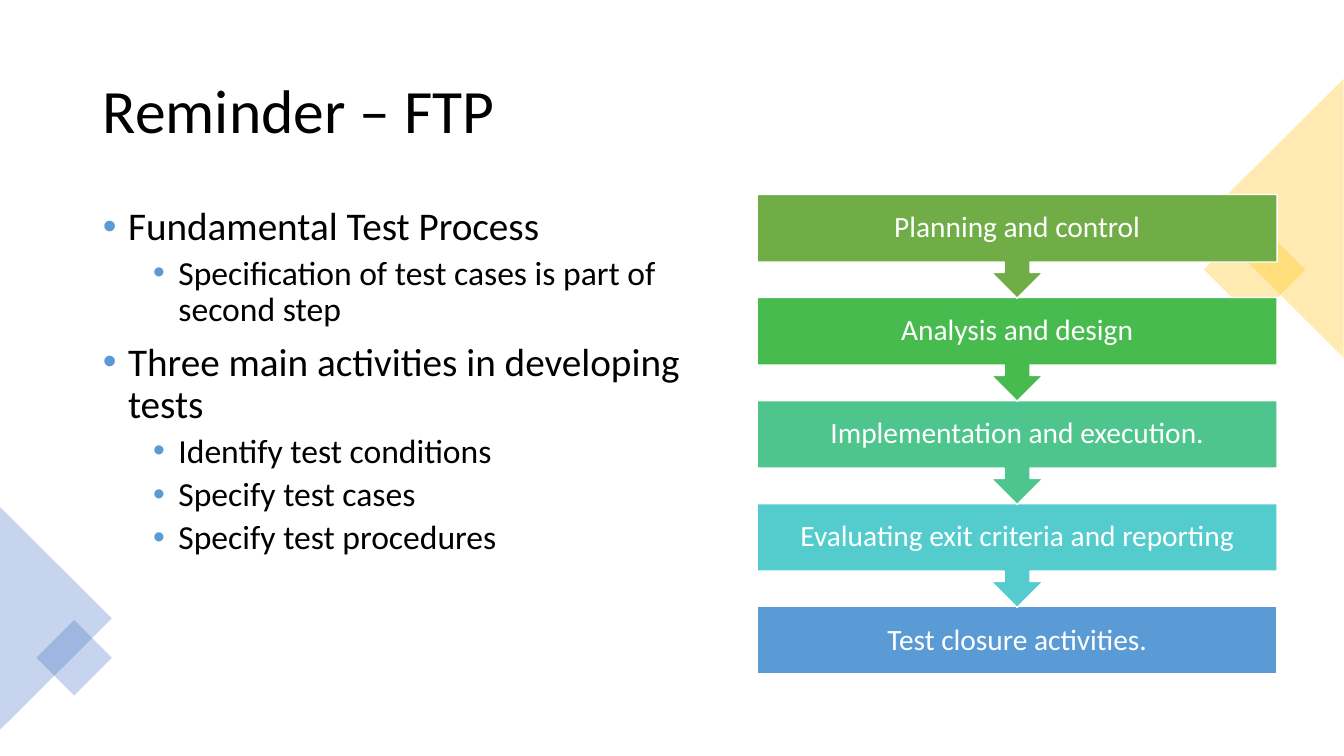
"""Build the slide that recalls the fundamental test process."""
from dataclasses import dataclass

from lxml import etree
from pptx import Presentation
from pptx import util as u
from pptx.dml.color import RGBColor
from pptx.enum import shapes, text
from pptx.oxml import ns


@dataclass(frozen=True)
class Theme:
    """Colours, font and type sizes of the slide."""
    font: str = "Calibri"
    ink: str = "000000"
    paper: str = "FFFFFF"
    bullet: str = "5B9BD5"
    gold: str = "FFC000"
    blue: str = "4472C4"
    steps: tuple[str, ...] = ("70AD47", "48BB4F", "4DC58D", "54CCCD", "5B9BD5")
    title_size: int = 44
    topic_sizes: tuple[int, ...] = (28, 24)
    step_size: int = 21
    decor_alpha: int = 30


@dataclass(frozen=True)
class Area:
    """A rectangle in percent of the slide's width and height."""
    left: float
    top: float
    width: float
    height: float


@dataclass(frozen=True)
class Decoration:
    """A translucent corner ornament."""
    kind: shapes.MSO_SHAPE
    area: Area
    rotation: int
    color: str


@dataclass(frozen=True)
class Topic:
    """One bulleted line and its outline level."""
    wording: str
    level: int = 0


THEME = Theme()
WIDTH, HEIGHT = u.Inches(13.33), u.Inches(7.5)
TITLE_AREA = Area(6.9, 5.33, 86.25, 19.33)
BODY_AREA = Area(6.9, 26.67, 47.7, 63.47)
FIRST_STEP = Area(56.33, 25.73, 38.7, 8.93)
STEP_PITCH = 13.63
CALLOUT_HEIGHT = 13.73

DECORATIONS = (
    Decoration(shapes.MSO_SHAPE.RECTANGLE, Area(90.68, 30.93, 5.33, 9.47), 45, THEME.gold),
    Decoration(shapes.MSO_SHAPE.ISOSCELES_TRIANGLE, Area(84.38, 19.6, 20.78, 18.53), 270, THEME.gold),
    Decoration(shapes.MSO_SHAPE.ISOSCELES_TRIANGLE, Area(-4.13, 74.4, 16.58, 14.8), 90, THEME.blue),
    Decoration(shapes.MSO_SHAPE.RECTANGLE, Area(3.53, 83.47, 3.98, 7.07), 45, THEME.blue),
)
TOPICS = (
    Topic("Fundamental Test Process"),
    Topic("Specification of test cases is part of second step", 1),
    Topic("Three main activities in developing tests"),
    Topic("Identify test conditions", 1),
    Topic("Specify test cases", 1),
    Topic("Specify test procedures", 1),
)
STEPS = (
    "Planning and control",
    "Analysis and design",
    "Implementation and execution.",
    "Evaluating exit criteria and reporting",
    "Test closure activities.",
)


def place(area: Area) -> tuple[int, int, int, int]:
    """Turn an area into left, top, width and height."""
    return (int(WIDTH * area.left / 100), int(HEIGHT * area.top / 100),
            int(WIDTH * area.width / 100), int(HEIGHT * area.height / 100))


def move(holder, area: Area) -> None:
    """Put a placeholder on an area."""
    holder.left, holder.top, holder.width, holder.height = place(area)


def style(paragraph, size: int, color: str, align=text.PP_ALIGN.LEFT) -> None:
    """Set alignment, line spacing and font of a paragraph."""
    paragraph.alignment = align
    paragraph.line_spacing = 0.9
    paragraph.font.name = THEME.font
    paragraph.font.size = u.Pt(size)
    paragraph.font.color.rgb = RGBColor.from_string(color)


def add_filled(slide, kind, area: Area, color: str):
    """Add a flat preset shape."""
    shape = slide.shapes.add_shape(kind, *place(area))
    shape.shadow.inherit = False
    shape.fill.solid()
    shape.fill.fore_color.rgb = RGBColor.from_string(color)
    return shape


def add_decoration(slide, decoration: Decoration) -> None:
    """Add a translucent ornament without outline."""
    ornament = add_filled(slide, decoration.kind, decoration.area, decoration.color)
    ornament.rotation = decoration.rotation
    ornament.line.fill.background()
    color = ornament.fill._xPr.find(".//" + ns.qn("a:srgbClr"))
    etree.SubElement(color, ns.qn("a:alpha"), val=str(THEME.decor_alpha * 1000))


def add_bullet(paragraph, level: int) -> None:
    """Give a paragraph a coloured bullet and a hanging indent."""
    props = paragraph._p.get_or_add_pPr()
    props.set("marL", str(u.Inches(0.25 + 0.5 * level)))
    props.set("indent", str(u.Inches(-0.25)))
    color = etree.SubElement(props, ns.qn("a:buClr"))
    etree.SubElement(color, ns.qn("a:srgbClr"), val=THEME.bullet)
    etree.SubElement(props, ns.qn("a:buFont"), typeface="Arial")
    etree.SubElement(props, ns.qn("a:buChar"), char="•")


def fill_title(title) -> None:
    """Write the slide's title."""
    move(title, TITLE_AREA)
    title.text_frame.text = "Reminder – FTP"
    title.text_frame.vertical_anchor = text.MSO_ANCHOR.MIDDLE
    style(title.text_frame.paragraphs[0], THEME.title_size, THEME.ink)


def fill_topics(body) -> None:
    """Write the bulleted topics."""
    move(body, BODY_AREA)
    frame = body.text_frame
    frame.auto_size = text.MSO_AUTO_SIZE.NONE
    frame.text = "\n".join(topic.wording for topic in TOPICS)
    for paragraph, topic in zip(frame.paragraphs, TOPICS):
        paragraph.level = topic.level
        paragraph.space_before = u.Pt(5 if topic.level else 10)
        add_bullet(paragraph, topic.level)
        style(paragraph, THEME.topic_sizes[topic.level], THEME.ink)


def add_step(slide, index: int) -> None:
    """Add one process step; all but the last point down to the next."""
    last = index == len(STEPS) - 1
    kind = shapes.MSO_SHAPE.RECTANGLE if last else shapes.MSO_SHAPE.DOWN_ARROW_CALLOUT
    area = Area(FIRST_STEP.left, FIRST_STEP.top + index * STEP_PITCH, FIRST_STEP.width,
                FIRST_STEP.height if last else CALLOUT_HEIGHT)
    step = add_filled(slide, kind, area, THEME.steps[index])
    if not last:
        step.adjustments[3] = FIRST_STEP.height / CALLOUT_HEIGHT
    step.line.color.rgb = RGBColor.from_string(THEME.paper)
    step.line.width = u.Pt(1)
    frame = step.text_frame
    frame.word_wrap = True
    frame.vertical_anchor = text.MSO_ANCHOR.MIDDLE
    frame.margin_left = frame.margin_right = u.Inches(0.16)
    frame.margin_top = frame.margin_bottom = u.Inches(0.16)
    frame.text = STEPS[index]
    style(frame.paragraphs[0], THEME.step_size, THEME.paper, text.PP_ALIGN.CENTER)


def main() -> None:
    """Build and save the presentation."""
    deck = Presentation()
    deck.slide_width, deck.slide_height = WIDTH, HEIGHT
    slide = deck.slides.add_slide(deck.slide_layouts[1])
    for decoration in DECORATIONS:
        add_decoration(slide, decoration)
    fill_title(slide.shapes.title)
    fill_topics(slide.placeholders[1])
    for index in reversed(range(len(STEPS))):
        add_step(slide, index)
    deck.save("out.pptx")


if __name__ == "__main__":
    main()
